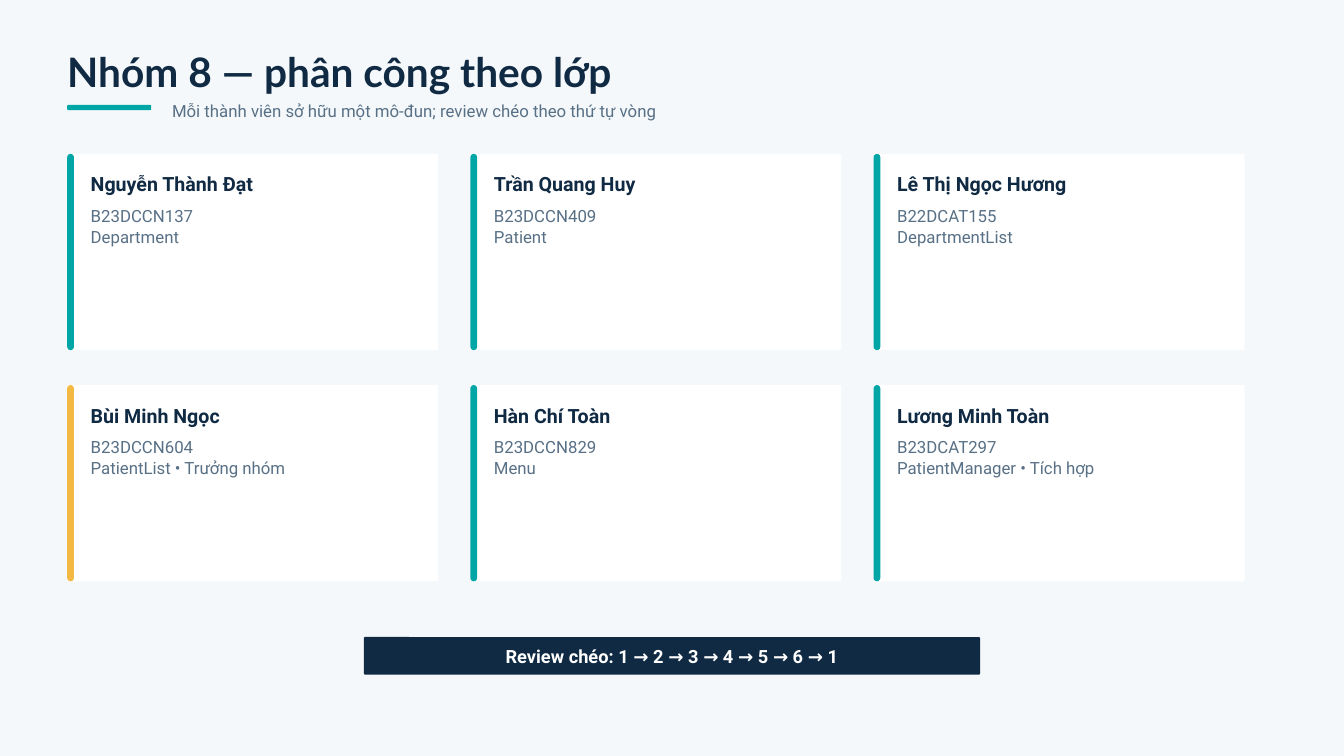
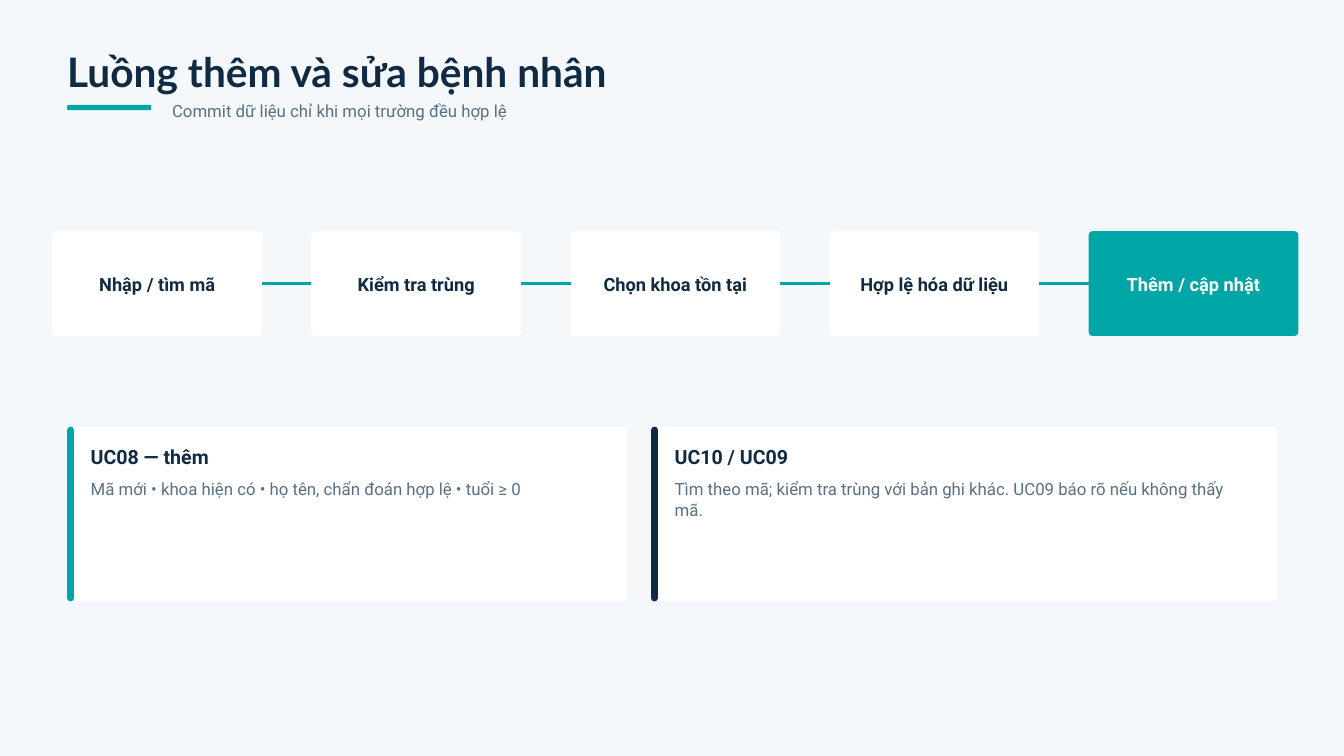
from lxml import etree
from pptx import Presentation
from pptx.dml.color import RGBColor
from pptx.enum.shapes import MSO_CONNECTOR, MSO_SHAPE
from pptx.enum.text import MSO_ANCHOR, MSO_AUTO_SIZE, PP_ALIGN
from pptx.oxml.ns import qn
from pptx.util import Inches, Pt

ROUNDED = MSO_SHAPE.ROUNDED_RECTANGLE
STRAIGHT = MSO_CONNECTOR.STRAIGHT
MIDDLE = MSO_ANCHOR.MIDDLE
GROW = MSO_AUTO_SIZE.SHAPE_TO_FIT_TEXT
CENTER = PP_ALIGN.CENTER
RIGHT_SIDE, LEFT_SIDE = 3, 1

# The grid has one column and one row per inch.
COLUMNS, ROWS = 20, 11.25
MARGIN = 1
COLORS = {
    "paper": "F4F8FA",
    "card": "FFFFFF",
    "navy": "102A43",
    "slate": "587086",
    "teal": "00A6A6",
    "amber": "F4B942",
}
# Each style: font, size, line spacing, bold
STYLES = {
    "title": ("Lato", 43.5, 54.4, True),
    "heading": ("Roboto", 21, 26.2, True),
    "label": ("Roboto", 19.5, 27.3, True),
    "body": ("Roboto", 18, 22.5, False),
}

MEMBERS = [
    ("Nguyễn Thành Đạt", "B23DCCN137", "Department"),
    ("Trần Quang Huy", "B23DCCN409", "Patient"),
    ("Lê Thị Ngọc Hương", "B22DCAT155", "DepartmentList"),
    ("Bùi Minh Ngọc", "B23DCCN604", "PatientList • Trưởng nhóm"),
    ("Hàn Chí Toàn", "B23DCCN829", "Menu"),
    ("Lương Minh Toàn", "B23DCAT297", "PatientManager • Tích hợp"),
]
LEADER = "Bùi Minh Ngọc"
STEPS = [
    "Nhập / tìm mã",
    "Kiểm tra trùng",
    "Chọn khoa tồn tại",
    "Hợp lệ hóa dữ liệu",
    "Thêm / cập nhật",
]


def color(name):
    return RGBColor.from_string(COLORS[name])


class SlideBuilder:
    def __init__(self):
        self.deck = Presentation()
        self.deck.slide_width = Inches(COLUMNS)
        self.deck.slide_height = Inches(ROWS)
        self.slide = None

    def new_slide(self, title, subtitle):
        self.slide = self.deck.slides.add_slide(self.deck.slide_layouts[6])
        background = self.slide.background.fill
        background.solid()
        background.fore_color.rgb = color("paper")
        shapes = self.slide.shapes
        self.text(shapes, (MARGIN, 0.67, 15.62, 0.74), [title], "title", "navy")
        self.panel(shapes, (MARGIN, 1.56, 1.25, 0.08), "teal", 0.02)
        self.text(shapes, (2.56, 1.48, 15.62, 0.31), [subtitle], "body", "slate")

    def fill_text(self, frame, lines, style, ink, align=None):
        font_name, size, spacing, bold = STYLES[style]
        frame.word_wrap = True
        frame.text = "\n".join(lines)
        for para in frame.paragraphs:
            para.alignment = align
            para.line_spacing = Pt(spacing)
            for span in para.runs:
                span.font.name = font_name
                span.font.size = Pt(size)
                span.font.bold = bold
                span.font.color.rgb = color(ink)

    def text(self, shapes, area, lines, style, ink):
        box = shapes.add_textbox(*map(Inches, area))
        frame = box.text_frame
        frame.margin_left = frame.margin_right = 0
        frame.margin_top = frame.margin_bottom = 0
        self.fill_text(frame, lines, style, ink)
        frame.auto_size = GROW

    def panel(self, shapes, area, fill, radius):
        """Draw a borderless rounded rectangle with the given corner radius."""
        box = shapes.add_shape(ROUNDED, *map(Inches, area))
        box.adjustments[0] = radius / min(area[2:])
        box.shadow.inherit = False
        box.fill.solid()
        box.fill.fore_color.rgb = color(fill)
        box.line.fill.background()
        return box

    def label_box(self, area, label, fill, ink, radius):
        box = self.panel(self.slide.shapes, area, fill, radius)
        frame = box.text_frame
        frame.margin_left = frame.margin_right = frame.margin_top = Inches(0.06)
        frame.margin_bottom = Inches(0.09)
        frame.vertical_anchor = MIDDLE
        self.fill_text(frame, [label], "label", ink, CENTER)
        return box

    def card(self, area, accent, heading, lines):
        left, top, width, height = area
        shapes = self.slide.shapes.add_group_shape().shapes
        self.panel(shapes, area, "card", 0.02)
        self.panel(shapes, (left, top, 0.1, height), accent, 0.05)
        text_left, text_width = left + 0.35, width - 0.66
        self.text(shapes, (text_left, top + 0.26, text_width, 0.37),
                  [heading], "heading", "navy")
        self.text(shapes, (text_left, top + 0.76, text_width, 0.62),
                  lines, "body", "slate")

    def link(self, start, end):
        """Join the right side of one box to the left side of the next."""
        line = self.slide.shapes.add_connector(STRAIGHT, 0, 0, 0, 0)
        line.begin_connect(start, RIGHT_SIDE)
        line.end_connect(end, LEFT_SIDE)
        line.line.color.rgb = color("teal")
        line.line.width = Pt(3)
        etree.SubElement(line._element.spPr, qn("a:effectLst"))


def add_team_slide(builder):
    builder.new_slide("Nhóm 8 — phân công theo lớp",
                      "Mỗi thành viên sở hữu một mô-đun; review chéo theo thứ tự vòng")
    for index, (name, *details) in enumerate(MEMBERS):
        row, column = divmod(index, 3)
        area = (MARGIN + 6 * column, 2.29 + 3.44 * row, 5.52, 2.92)
        builder.card(area, "amber" if name == LEADER else "teal", name, details)
    width = 9.17
    builder.label_box(((COLUMNS - width) / 2, 9.48, width, 0.56),
                      "Review chéo: 1 → 2 → 3 → 4 → 5 → 6 → 1",
                      "navy", "card", 0.02)


def add_flow_slide(builder):
    builder.new_slide("Luồng thêm và sửa bệnh nhân",
                      "Commit dữ liệu chỉ khi mọi trường đều hợp lệ")
    first_left, last_left = 0.78, 16.2
    pitch = (last_left - first_left) / (len(STEPS) - 1)
    boxes = []
    for index, step in enumerate(STEPS):
        fill, ink = ("teal", "card") if step == STEPS[-1] else ("card", "navy")
        area = (first_left + index * pitch, 3.44, 3.12, 1.56)
        boxes.append(builder.label_box(area, step, fill, ink, 0.06))
    for start, end in zip(boxes, boxes[1:]):
        builder.link(start, end)

    card_top, card_height = 6.35, 2.6
    builder.card((MARGIN, card_top, 8.33, card_height), "teal", "UC08 — thêm",
                 ["Mã mới • khoa hiện có • họ tên, chẩn đoán hợp lệ • tuổi ≥ 0"])
    builder.card((9.69, card_top, 9.31, card_height), "navy", "UC10 / UC09",
                 ["Tìm theo mã; kiểm tra trùng với bản ghi khác. "
                  "UC09 báo rõ nếu không thấy mã."])


def main():
    builder = SlideBuilder()
    add_team_slide(builder)
    add_flow_slide(builder)
    builder.deck.save("out.pptx")


if __name__ == "__main__":
    main()
